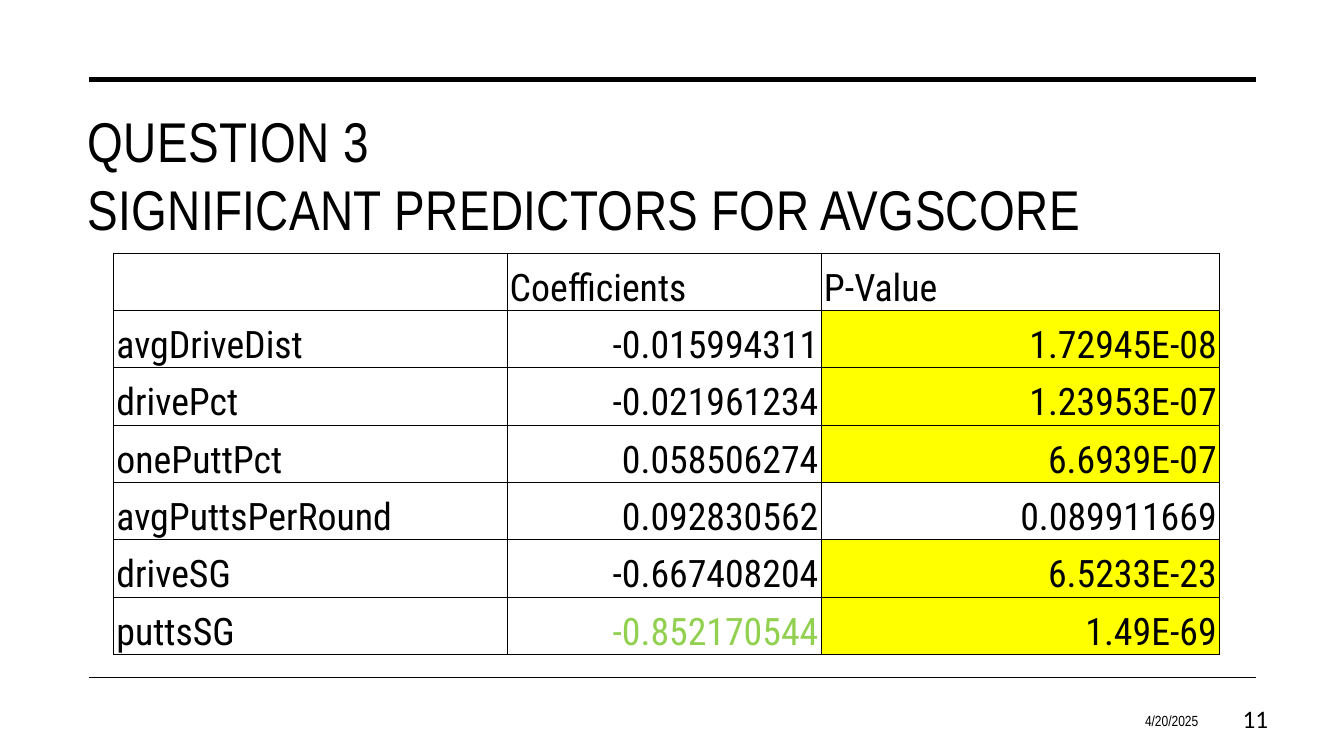
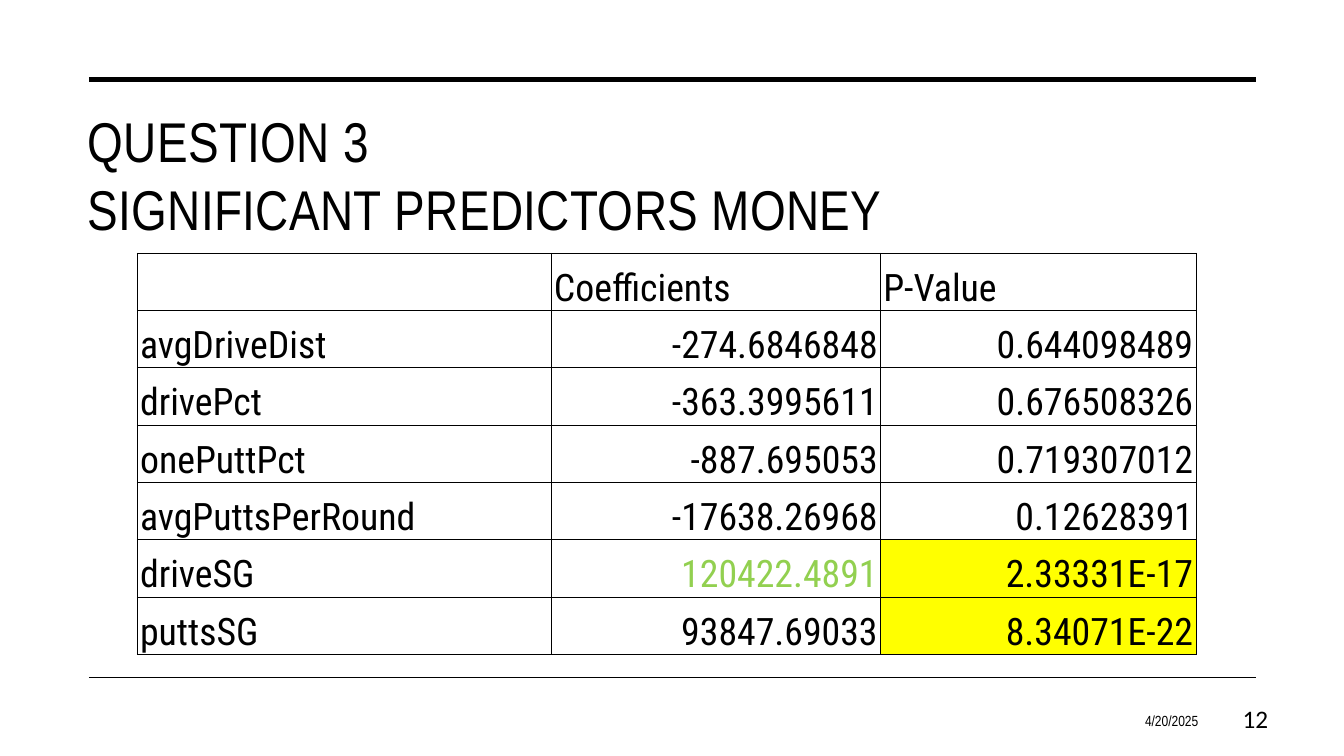
from dataclasses import dataclass

from lxml import etree
from pptx import Presentation
from pptx.dml.color import RGBColor
from pptx.enum.shapes import MSO_CONNECTOR
from pptx.enum.text import MSO_ANCHOR, PP_ALIGN
from pptx.oxml.ns import qn
from pptx.slide import Slide
from pptx.table import _Cell
from pptx.text.text import _Paragraph
from pptx.util import Cm, Pt

BLACK = RGBColor(0x00, 0x00, 0x00)
YELLOW = RGBColor(0xFF, 0xFF, 0x00)
GREEN = RGBColor(0x92, 0xD0, 0x50)

LEFT, RIGHT = PP_ALIGN.LEFT, PP_ALIGN.RIGHT
TOP, MIDDLE, BOTTOM = MSO_ANCHOR.TOP, MSO_ANCHOR.MIDDLE, MSO_ANCHOR.BOTTOM
STRAIGHT = MSO_CONNECTOR.STRAIGHT

HEADING_FONT = "Arial Narrow"
NUMBER_FONT = "Calibri"
TABLE_FONT = "Roboto Condensed"

# Shared geometry, in centimetres
RULE_LEFT, RULE_RIGHT = 2.24, 31.65
TABLE_CENTER, TABLE_TOP, TABLE_HEIGHT = 16.8, 6.38, 10.11
CELL_INSET = 0.07

SIGNIFICANCE_LEVEL = 0.05
HEADERS = ("", "Coefficients", "P-Value")
DATE = "4/20/2025"


@dataclass(frozen=True)
class Rule:
    y: float
    weight: float


@dataclass(frozen=True)
class TextStyle:
    left: float
    top: float
    width: float
    height: float
    font: str
    size: float
    align: PP_ALIGN = LEFT
    anchor: MSO_ANCHOR = TOP
    space_after: float = 0
    line_spacing: float = 1.0
    tracking: int = 0


@dataclass(frozen=True)
class Predictor:
    name: str
    coefficient: str
    p_value: str


@dataclass(frozen=True)
class ResultSlide:
    title: str
    number: int
    column_widths: tuple[float, ...]
    predictors: tuple[Predictor, ...]


RULES = (Rule(2.0, 3.5), Rule(17.07, 1))
TITLE = TextStyle(1.96, 2.57, 29.69, 3.81, HEADING_FONT, 40, tracking=30)
DATE_STAMP = TextStyle(23.24, 17.65, 7.21, 1.02, HEADING_FONT, 10.5,
                       RIGHT, MIDDLE, space_after=6)
SLIDE_NUMBER = TextStyle(30.33, 17.65, 1.88, 1.02, NUMBER_FONT, 18,
                         RIGHT, MIDDLE, space_after=6, line_spacing=0.9)

RESULTS = (
    ResultSlide(
        "QUESTION 3\nSIGNIFICANT PREDICTORS FOR AVGSCORE", 11, (9.91, 7.92, 10.04),
        (
            Predictor("avgDriveDist", "-0.015994311", "1.72945E-08"),
            Predictor("drivePct", "-0.021961234", "1.23953E-07"),
            Predictor("onePuttPct", "0.058506274", "6.6939E-07"),
            Predictor("avgPuttsPerRound", "0.092830562", "0.089911669"),
            Predictor("driveSG", "-0.667408204", "6.5233E-23"),
            Predictor("puttsSG", "-0.852170544", "1.49E-69"),
        ),
    ),
    ResultSlide(
        "QUESTION 3\nSIGNIFICANT PREDICTORS MONEY", 12, (10.43, 8.3, 7.95),
        (
            Predictor("avgDriveDist", "-274.6846848", "0.644098489"),
            Predictor("drivePct", "-363.3995611", "0.676508326"),
            Predictor("onePuttPct", "-887.695053", "0.719307012"),
            Predictor("avgPuttsPerRound", "-17638.26968", "0.12628391"),
            Predictor("driveSG", "120422.4891", "2.33331E-17"),
            Predictor("puttsSG", "93847.69033", "8.34071E-22"),
        ),
    ),
)


def set_font(paragraph: _Paragraph, name: str, size: float,
             color: RGBColor = BLACK) -> None:
    paragraph.font.name = name
    paragraph.font.size = Pt(size)
    paragraph.font.color.rgb = color


def add_rule(slide: Slide, rule: Rule) -> None:
    line = slide.shapes.add_connector(
        STRAIGHT, Cm(RULE_LEFT), Cm(rule.y), Cm(RULE_RIGHT), Cm(rule.y))
    line.line.color.rgb = BLACK
    line.line.width = Pt(rule.weight)
    etree.SubElement(line._element.spPr, qn("a:effectLst"))


def add_text(slide: Slide, text: str, style: TextStyle) -> None:
    box = slide.shapes.add_textbox(
        Cm(style.left), Cm(style.top), Cm(style.width), Cm(style.height))
    frame = box.text_frame
    frame.word_wrap = True
    frame.vertical_anchor = style.anchor
    paragraph = frame.paragraphs[0]
    paragraph.text = text.replace("\n", "\v")
    paragraph.alignment = style.align
    paragraph.space_after = Pt(style.space_after)
    paragraph.line_spacing = style.line_spacing
    set_font(paragraph, style.font, style.size)
    if style.tracking:
        defaults = paragraph._p.pPr.find(qn("a:defRPr"))
        defaults.set("spc", str(style.tracking))


def add_borders(cell: _Cell) -> None:
    properties = cell._tc.get_or_add_tcPr()
    for side in ("a:lnL", "a:lnR", "a:lnT", "a:lnB"):
        border = etree.SubElement(properties, qn(side), w=str(Pt(0.5)))
        fill = etree.SubElement(border, qn("a:solidFill"))
        etree.SubElement(fill, qn("a:srgbClr"), val=str(BLACK))


def fill_cell(cell: _Cell, text: str, align: PP_ALIGN, color: RGBColor,
              highlighted: bool) -> None:
    cell.margin_left = cell.margin_right = cell.margin_top = Cm(CELL_INSET)
    cell.margin_bottom = Cm(0)
    cell.vertical_anchor = BOTTOM
    add_borders(cell)
    if highlighted:
        cell.fill.solid()
        cell.fill.fore_color.rgb = YELLOW
    else:
        cell.fill.background()
    paragraph = cell.text_frame.paragraphs[0]
    paragraph.text = text
    paragraph.alignment = align
    set_font(paragraph, TABLE_FONT, 27, color)


def add_predictor_table(slide: Slide, result: ResultSlide) -> None:
    row_count = len(result.predictors) + 1
    width = sum(result.column_widths)
    table = slide.shapes.add_table(
        row_count, len(HEADERS), Cm(TABLE_CENTER - width / 2), Cm(TABLE_TOP),
        Cm(width), Cm(TABLE_HEIGHT)).table
    table.first_row = table.horz_banding = False
    for column, column_width in zip(table.columns, result.column_widths):
        column.width = Cm(column_width)
    for row in table.rows:
        row.height = Cm(TABLE_HEIGHT / row_count)

    for column_index, header in enumerate(HEADERS):
        fill_cell(table.cell(0, column_index), header, LEFT, BLACK, False)

    # Green marks the largest effect, yellow the significant p-values
    strongest = max(result.predictors, key=lambda p: abs(float(p.coefficient)))
    for row_index, predictor in enumerate(result.predictors, start=1):
        effect_color = GREEN if predictor is strongest else BLACK
        significant = float(predictor.p_value) < SIGNIFICANCE_LEVEL
        fill_cell(table.cell(row_index, 0), predictor.name, LEFT, BLACK, False)
        fill_cell(table.cell(row_index, 1), predictor.coefficient, RIGHT,
                  effect_color, False)
        fill_cell(table.cell(row_index, 2), predictor.p_value, RIGHT, BLACK,
                  significant)


def add_result_slide(presentation: Presentation, result: ResultSlide) -> None:
    slide = presentation.slides.add_slide(presentation.slide_layouts[6])
    # Frame and title
    for rule in RULES:
        add_rule(slide, rule)
    add_text(slide, result.title, TITLE)
    # Footer
    add_text(slide, DATE, DATE_STAMP)
    add_text(slide, str(result.number), SLIDE_NUMBER)
    # Regression results
    add_predictor_table(slide, result)


def main() -> None:
    presentation = Presentation()
    presentation.slide_width = Cm(33.87)
    presentation.slide_height = Cm(19.05)
    for result in RESULTS:
        add_result_slide(presentation, result)
    presentation.save("out.pptx")


if __name__ == "__main__":
    main()
